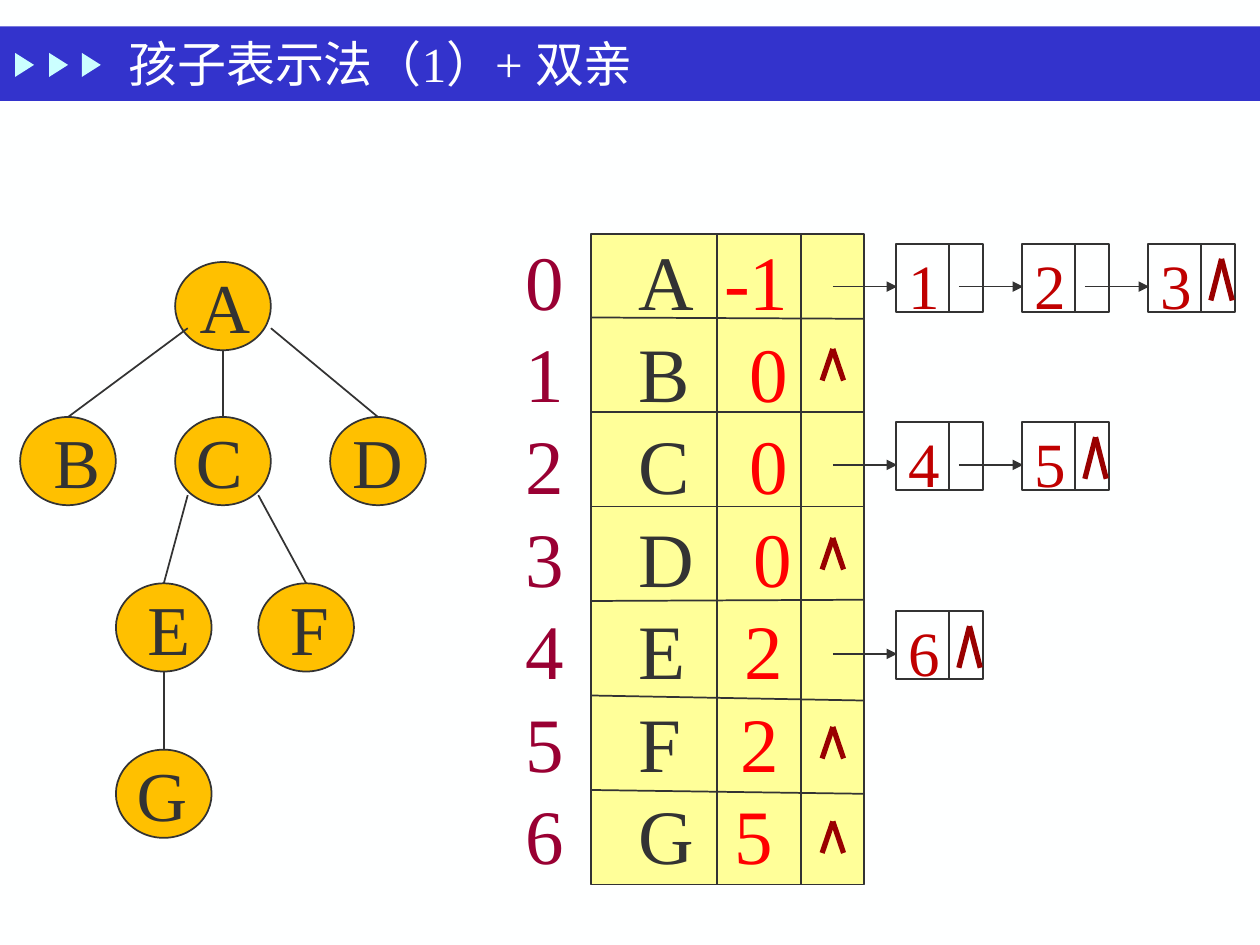
import pptx
import pptx.util
import pptx.dml.color
import pptx.enum.shapes
import pptx.enum.text
import pptx.oxml
import pptx.oxml.ns

COLS, ROWS = 100, 75
HUES = {
    "page": "FEFFFF", "bar": "3333CC", "mark": "CBFFFF", "node": "FFC000",
    "ink": "333333", "table": "FFFF99", "index": "990033",
    "parent": "FF0000", "child": "C00000", "null": "990000",
}
SHAPE = pptx.enum.shapes.MSO_SHAPE
ALIGN = pptx.enum.text.PP_ALIGN
ANCHOR = pptx.enum.text.MSO_ANCHOR


class Board:
    """One slide on a grid of COLS by ROWS, with a shared style."""
    font = "Times New Roman"

    def __init__(self, deck):
        self.slide = deck.slides.add_slide(deck.slide_layouts[6])
        self.cell = deck.slide_width / COLS
        fill = self.slide.background.fill
        fill.solid()
        fill.fore_color.rgb = self.hue("page")

    def hue(self, name):
        return pptx.dml.color.RGBColor.from_string(HUES[name])

    def grid(self, *spans):
        return [round(span * self.cell) for span in spans]

    def shape(self, kind, box, fill=None, line="ink", turn=0):
        item = self.slide.shapes.add_shape(kind, *self.grid(*box))
        item.shadow.inherit = False
        item.rotation = turn
        if fill:
            item.fill.solid()
            item.fill.fore_color.rgb = self.hue(fill)
        else:
            item.fill.background()
        if line:
            item.line.color.rgb = self.hue(line)
            item.line.width = pptx.util.Pt(1)
        else:
            item.line.fill.background()

    def line(self, start, end, hue="ink", width=1, arrow=False):
        item = self.slide.shapes.add_connector(
            pptx.enum.shapes.MSO_CONNECTOR.STRAIGHT,
            *self.grid(*start, *end))
        item.line.color.rgb = self.hue(hue)
        item.line.width = pptx.util.Pt(width)
        props = item._element.spPr
        if arrow:
            tail = pptx.oxml.parse_xml(
                f'<a:tailEnd {pptx.oxml.ns.nsdecls("a")} type="triangle"/>')
            props.find(pptx.oxml.ns.qn("a:ln")).append(tail)
        props.append(pptx.oxml.parse_xml(
            f'<a:effectLst {pptx.oxml.ns.nsdecls("a")}/>'))

    def caret(self, x, y, half, high):
        """Draw the null sign with its tip at x, y."""
        for side in (-half, half):
            self.line((x, y), (x + side, y + high), "null", 3)

    def text(self, box, paras, size, align=ALIGN.LEFT, anchor=ANCHOR.TOP,
             pitch=None):
        """Each paragraph is (runs, tab stops); each run is (words, hue)."""
        frame = self.slide.shapes.add_textbox(*self.grid(*box)).text_frame
        frame.word_wrap = True
        frame.vertical_anchor = anchor
        for i, (runs, stops) in enumerate(paras):
            para = frame.add_paragraph() if i else frame.paragraphs[0]
            para.alignment = align
            if pitch:
                para.line_spacing = pptx.util.Pt(pitch)
            if stops:
                self.tabs(para, stops)
            for words, hue in runs:
                run = para.add_run()
                run.text = words
                run.font.name = self.font
                run.font.size = pptx.util.Pt(size)
                run.font.color.rgb = self.hue(hue)

    def tabs(self, para, stops):
        marks = "".join(f'<a:tab pos="{pos}" algn="l"/>'
                        for pos in self.grid(*stops))
        para._p.get_or_add_pPr().append(pptx.oxml.parse_xml(
            f'<a:tabLst {pptx.oxml.ns.nsdecls("a")}>{marks}</a:tabLst>'))


def draw_head(board):
    board.shape(SHAPE.RECTANGLE, (0, 2.1, COLS, 5.9), "bar", None)
    for x in (1, 3.7, 6.3):
        board.shape(SHAPE.ISOSCELES_TRIANGLE, (x, 4.4, 1.9, 1.5),
                    "mark", None, 90)
    board.text((9.2, 2.1, 70, 5.8),
               [([("孩子表示法（1）+ 双亲", "page")], None)],
               28, anchor=ANCHOR.MIDDLE)


def draw_tree(board):
    wide, high = 7.6, 7
    # name: left, top, shift of the letter
    nodes = {
        "A": (13.9, 20.8, 0.15), "B": (1.6, 33.1, 0.7),
        "C": (13.9, 33.1, -0.3), "D": (26.2, 33.1, -0.05),
        "E": (9.2, 46.3, 0.4), "F": (20.5, 46.3, 0.25),
        "G": (9.2, 59.5, -0.15),
    }
    # parent, child, start measured from the parent's left and bottom
    edges = [("A", "B", 1, -1.75), ("A", "C", wide / 2, 0),
             ("A", "D", wide, -1.75), ("C", "E", 1, -0.8),
             ("C", "F", 6.6, -0.8), ("E", "G", wide / 2, 0)]
    for name, (x, y, shift) in nodes.items():
        board.shape(SHAPE.OVAL, (x, y, wide, high), "node")
        board.text((x + shift, y - 0.35, wide, 7.7),
                   [([(name, "ink")], None)], 40, ALIGN.CENTER)
    for top, low, dx, dy in edges:
        x, y, _ = nodes[top]
        left, head, _ = nodes[low]
        board.line((x + dx, y + high + dy), (left + wide / 2, head))


def draw_table(board):
    left, right, top, base, step = 46.9, 68.6, 18.6, 70.2, 7.5
    board.shape(SHAPE.RECTANGLE, (left, top, right - left, base - top),
                "table")
    # name, parent, place of the parent's tab stop
    rows = [("A", "-1", 15.8), ("B", "0", 17.8), ("C", "0", 17.8),
            ("D", "0", 18.1), ("E", "2", 17.4), ("F", "2", 17.1),
            ("G", "5", 16.6)]
    paras = [([(f"{i}\t", "index"), (f"{name}\t", "ink"), (up, "parent")],
              (9, stop)) for i, (name, up, stop) in enumerate(rows)]
    board.text((40.7, 18, 25.2, 52.8), paras, 44, pitch=52.8)
    for i, end in enumerate((25.3, 32.7, 40.2, 47.6, 55.6, 63)):
        board.line((left, 25.2 + i * step), (right, end))
    for x in (56.9, 63.6):
        board.line((x, top), (x, base))
    for i in (1, 3, 5, 6):
        board.caret(66.1, 20.2 + i * step, 0.85, 2.5)


def draw_lists(board):
    left, step, wide, high = 71.1, 10, 6.9, 5.4
    for top, kids in ((19.35, "123"), (33.5, "45"), (48.5, "6")):
        for i in range(len(kids)):
            x = left + i * step
            board.shape(SHAPE.RECTANGLE, (x, top, wide, high))
            board.line((x + 4.2, top), (x + 4.2, top + high))
            board.line((x - 5, top + 3.4), (x + 0.1, top + 3.4), arrow=True)
        board.caret(x + 5.85, top + 1.2, 0.85, 3.3)
        stops = [i * step for i in range(1, len(kids))]
        board.text((left, top - 0.3, len(kids) * step - 2, 7.1),
                   [([("\t".join(kids), "child")], stops)], 36)


def main():
    deck = pptx.Presentation()
    deck.slide_width = pptx.util.Inches(10)
    deck.slide_height = deck.slide_width * ROWS // COLS
    board = Board(deck)
    for draw in (draw_head, draw_tree, draw_table, draw_lists):
        draw(board)
    deck.save("out.pptx")


if __name__ == "__main__":
    main()
